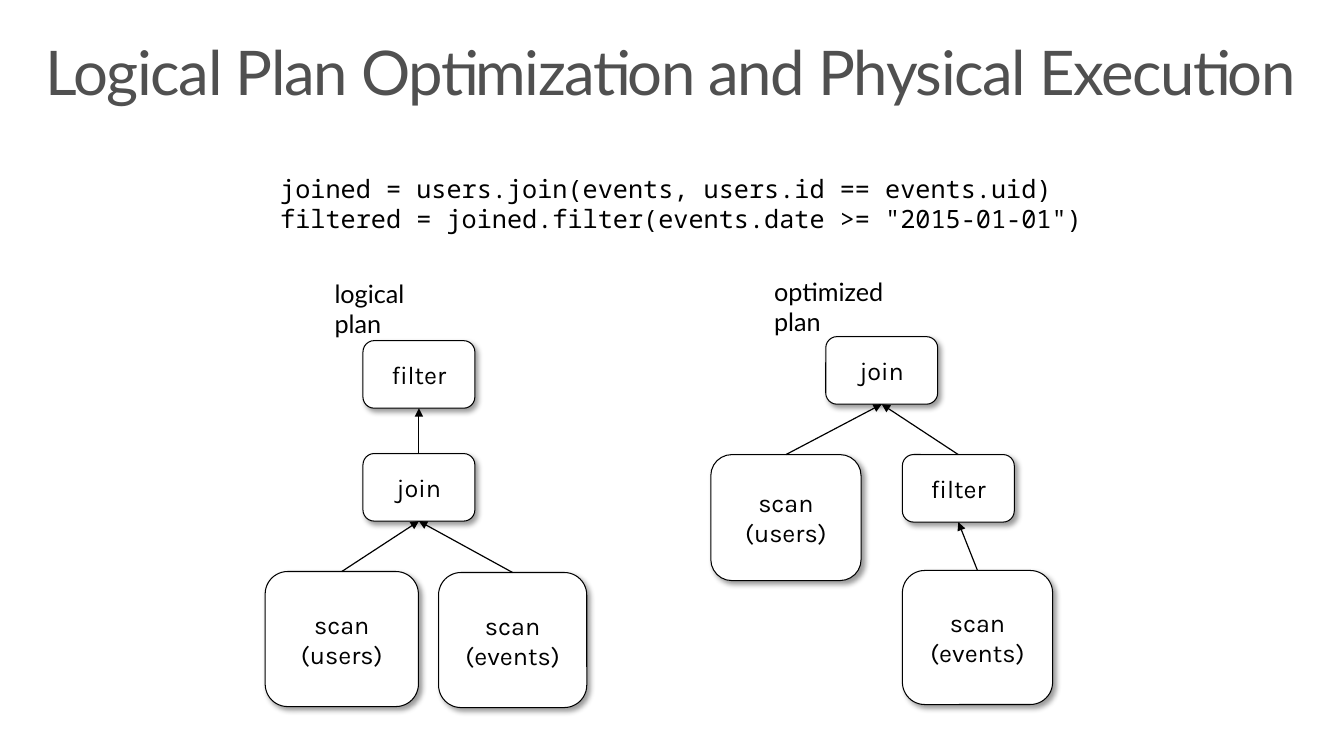
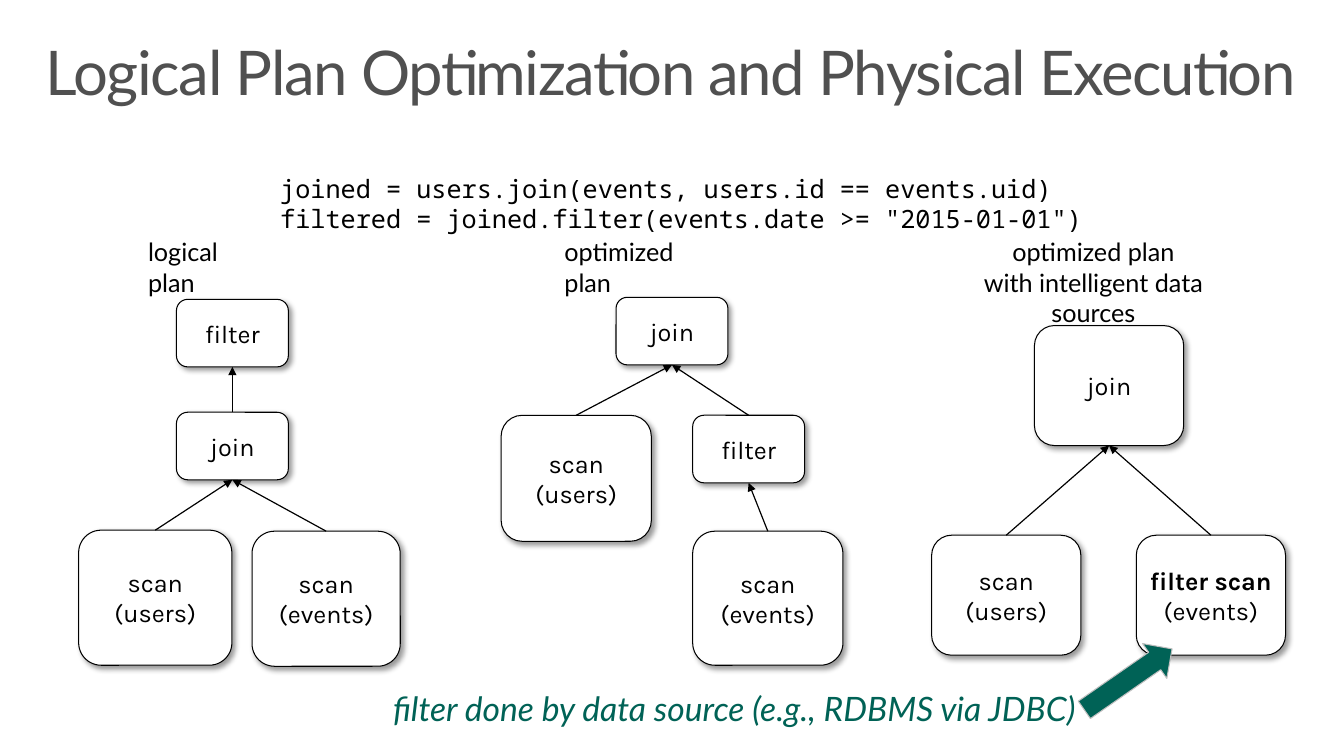
"""Build two slides that compare query plans before and after optimization."""
from lxml import etree
from pptx import Presentation
from pptx.dml.color import RGBColor
from pptx.enum.shapes import MSO_CONNECTOR, MSO_SHAPE
from pptx.enum.text import MSO_ANCHOR, PP_ALIGN
from pptx.oxml.ns import qn
from pptx.util import Inches, Pt

ROUND = MSO_SHAPE.ROUNDED_RECTANGLE
ARROW = MSO_SHAPE.RIGHT_ARROW
STRAIGHT = MSO_CONNECTOR.STRAIGHT
MIDDLE = MSO_ANCHOR.MIDDLE
TOP = MSO_ANCHOR.TOP
LEFT = PP_ALIGN.LEFT
CENTER = PP_ALIGN.CENTER

BLACK = RGBColor(0x00, 0x00, 0x00)
WHITE = RGBColor(0xFF, 0xFF, 0xFF)
GRAY = RGBColor(0x50, 0x50, 0x50)
SILVER = RGBColor(0xBF, 0xBF, 0xBF)
GREEN = RGBColor(0x00, 0x62, 0x56)

HEAD = {"name": "Lato", "size": Pt(44)}
CODE = {"name": "Noto Sans Mono", "size": Pt(18)}
LABEL = {"name": "Lato", "size": Pt(18)}
NODE = {"name": "Karla", "size": Pt(18)}
NOTE = {"name": "Lato", "size": Pt(24), "italic": True}

TITLE = "Logical Plan Optimization and Physical Execution"
QUERY = [
    "joined = users.join(events, users.id == events.uid)",
    'filtered = joined.filter(events.date >= "2015-01-01")',
]
USERS = ["scan", "(users)"]
EVENTS = ["scan", "(events)"]
SMALL = (1.11, 0.67)
LARGE = (1.48, 1.19)

LOGICAL = {
    "label": (["logical plan"], 1.3, LEFT),
    "nodes": {
        "filter": (["filter"], 0.38, 0.67, SMALL),
        "join": (["join"], 0.38, 1.79, SMALL),
        "users": (USERS, -0.59, 2.96, (1.52, 1.34)),
        "events": (EVENTS, 1.13, 2.97, (1.47, 1.34)),
    },
    "links": [("join", "filter"), ("users", "join"), ("events", "join")],
}
BETTER = {
    "label": (["optimized plan"], 1.7, LEFT),
    "nodes": {
        "join": (["join"], 0.61, 0.65, SMALL),
        "users": (USERS, -0.53, 1.82, (1.49, 1.25)),
        "filter": (["filter"], 1.37, 1.82, SMALL),
        "events": (EVENTS, 1.37, 2.97, (1.49, 1.33)),
    },
    "links": [("users", "join"), ("filter", "join"), ("events", "filter")],
}
SMART = {
    "label": (["optimized plan", "with intelligent data sources"], 3.13, CENTER),
    "nodes": {
        "join": (["join"], 0.98, 0.93, LARGE),
        "users": (USERS, -0.04, 3.01, LARGE),
        "events": (["filter scan", "(events)"], 1.99, 3.01, LARGE),
    },
    "links": [("users", "join"), ("events", "join")],
}


class Deck:
    """Hold the deck style and the current slide."""

    def __init__(self):
        self.prs = Presentation()
        self.prs.slide_width = Inches(13.33)
        self.prs.slide_height = Inches(7.5)
        self.slide = None

    def start(self):
        self.slide = self.prs.slides.add_slide(self.prs.slide_layouts[6])
        head = self.text([TITLE], (0.29, 0.32, 12.75, 0.98), HEAD, GRAY, pad=(0.16, 0.1))
        line = head.text_frame.paragraphs[0]
        line.line_spacing = 0.9
        line.runs[0].font._element.set("spc", "-100")
        self.text(QUERY, (2.65, 1.65, 10.33, 0.77), CODE, pad=(0.13, 0.07))

    def fill(self, shape, lines, style, color, align, pad, anchor):
        frame = shape.text_frame
        values = {
            "word_wrap": True,
            "vertical_anchor": anchor,
            "margin_left": Inches(pad[0]),
            "margin_right": Inches(pad[0]),
            "margin_top": Inches(pad[1]),
            "margin_bottom": Inches(pad[1]),
        }
        for key, value in values.items():
            setattr(frame, key, value)
        for index, line in enumerate(lines):
            para = frame.add_paragraph() if index else frame.paragraphs[0]
            para.alignment = align
            run = para.add_run()
            run.text = line
            for key, value in style.items():
                setattr(run.font, key, value)
            run.font.color.rgb = color

    def text(self, lines, area, style, color=BLACK, align=LEFT, pad=(0.1, 0.05)):
        box = self.slide.shapes.add_textbox(*map(Inches, area))
        self.fill(box, lines, style, color, align, pad, TOP)
        return box

    def shape(self, kind, area, fill, edge):
        item = self.slide.shapes.add_shape(kind, *map(Inches, area))
        item.shadow.inherit = False
        item.fill.solid()
        item.fill.fore_color.rgb = fill
        item.line.color.rgb = edge
        item.line.width = Pt(0.75)
        return item

    def node(self, lines, area):
        box = self.shape(ROUND, area, WHITE, BLACK)
        self.fill(box, lines, NODE, BLACK, CENTER, (0, 0), MIDDLE)
        effects = box._element.spPr.find(qn("a:effectLst"))
        shade = etree.SubElement(
            effects, qn("a:outerShdw"), blurRad=str(Pt(4)), dist=str(Pt(3)),
            dir="2700000", algn="tl", rotWithShape="0",
        )
        tint = etree.SubElement(shade, qn("a:srgbClr"), val=str(BLACK))
        etree.SubElement(tint, qn("a:alpha"), val="40000")
        return box

    def link(self, child, parent):
        wire = self.slide.shapes.add_connector(STRAIGHT, 0, 0, 0, 0)
        wire.begin_connect(child, 0)
        wire.end_connect(parent, 2)
        wire.line.color.rgb = BLACK
        wire.line.width = Pt(0.85)
        props = wire._element.spPr
        etree.SubElement(props.find(qn("a:ln")), qn("a:tailEnd"), type="triangle")
        etree.SubElement(props, qn("a:effectLst"))

    def plan(self, tree, left, top):
        lines, width, align = tree["label"]
        self.text(lines, (left, top, width, 0.7), LABEL, align=align)
        nodes = {
            name: self.node(words, (left + x, top + y, *size))
            for name, (words, x, y, size) in tree["nodes"].items()
        }
        for child, parent in tree["links"]:
            self.link(nodes[child], nodes[parent])
        return nodes

    def arrow(self, area, angle):
        self.shape(ARROW, area, GREEN, SILVER).rotation = angle


def main():
    deck = Deck()
    deck.start()
    deck.plan(LOGICAL, 3.22, 2.71)
    deck.plan(BETTER, 7.58, 2.69)

    deck.start()
    deck.plan(LOGICAL, 1.37, 2.3)
    deck.plan(BETTER, 5.5, 2.3)
    nodes = deck.plan(SMART, 9.28, 2.3)
    nodes["events"].text_frame.paragraphs[0].runs[0].font.bold = True
    note = "filter done by data source (e.g., RDBMS via JDBC)"
    deck.text([note], (3.8, 6.78, 7.33, 0.5), NOTE, GREEN)
    deck.arrow((10.66, 6.53, 1.06, 0.42), 325.2)
    deck.prs.save("out.pptx")


if __name__ == "__main__":
    main()
